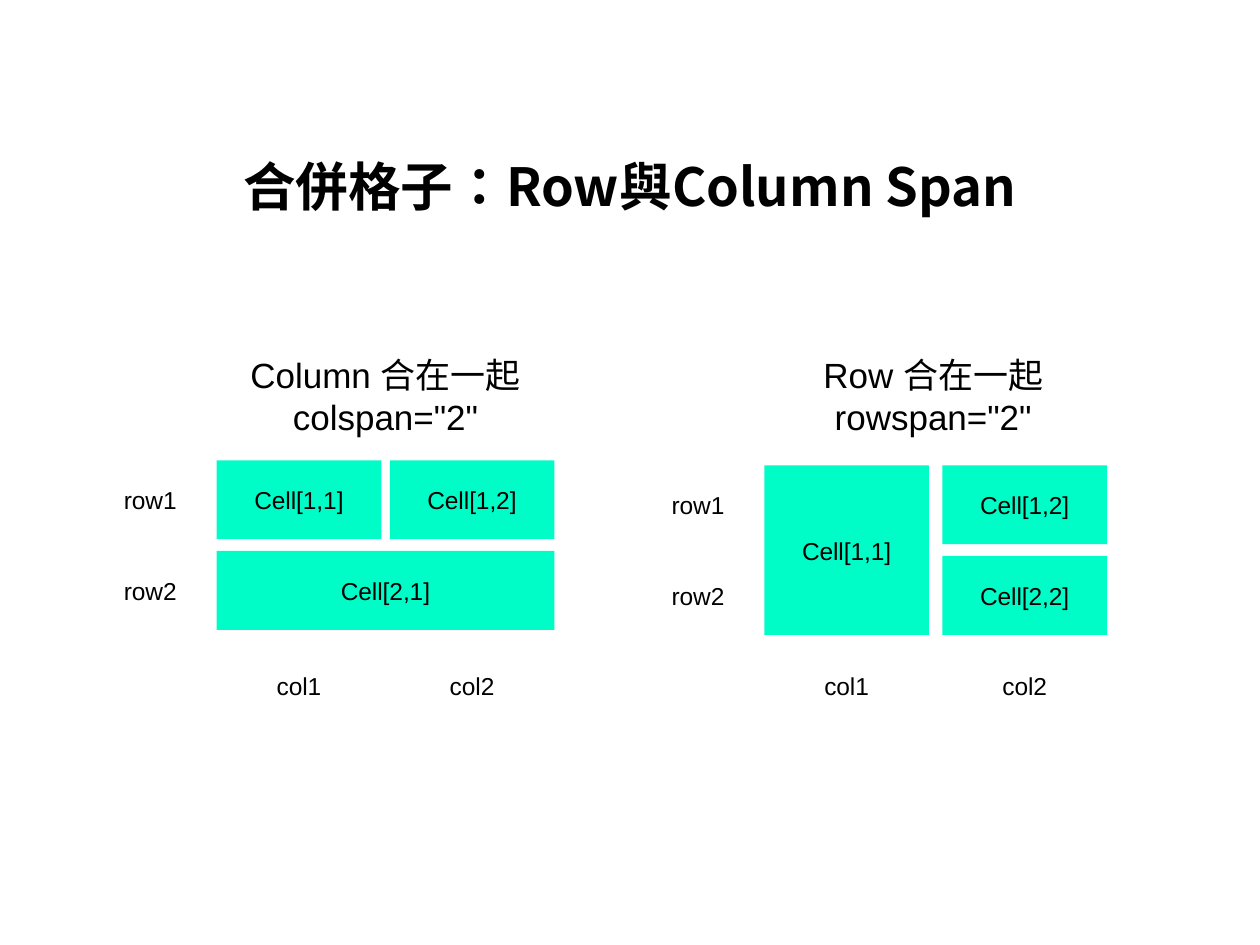
from dataclasses import dataclass

from pptx import Presentation
from pptx.dml.color import RGBColor
from pptx.enum.shapes import MSO_SHAPE
from pptx.enum.text import MSO_ANCHOR, PP_ALIGN
from pptx.oxml.ns import qn
from pptx.util import Inches, Pt


@dataclass(frozen=True)
class Theme:
    latin: str = "Arial"
    chinese: str = "Noto Sans CJK TC"
    language: str = "zh-TW"
    ink: RGBColor = RGBColor(0x00, 0x00, 0x00)
    cell: RGBColor = RGBColor(0x00, 0xFD, 0xC8)
    title_size: float = 22.5
    heading_size: float = 15
    label_size: float = 10.5


THEME = Theme()
CELL_W, CELL_H, ROW_PITCH = 0.98, 0.47, 0.54
LABEL_W, LABEL_H, COL_LABEL_TOP = 0.57, 0.28, 3.94
HEADING_TOP, HEADING_W, HEADING_H = 1.97, 2.01, 0.77


def write(shape, text, size, latin=THEME.latin, bold=False):
    """Put centred text into a shape, with Latin and Chinese fonts."""
    frame = shape.text_frame
    margins = dict.fromkeys(
        ("margin_left", "margin_top", "margin_right", "margin_bottom"), Inches(0.07))
    for name, value in {"word_wrap": True, "vertical_anchor": MSO_ANCHOR.MIDDLE, **margins}.items():
        setattr(frame, name, value)
    paragraph = frame.paragraphs[0]
    paragraph.text = text
    paragraph.alignment = PP_ALIGN.CENTER
    for run in paragraph.runs:
        for name, value in {"size": Pt(size), "name": latin, "bold": bold}.items():
            setattr(run.font, name, value)
        run.font.color.rgb = THEME.ink
        properties = run.font._element
        properties.set("lang", THEME.language)
        east_asian = properties.makeelement(qn("a:ea"), {"typeface": THEME.chinese})
        properties.find(qn("a:latin")).addnext(east_asian)


def add_label(left, top, width, height, text, size=THEME.label_size):
    box = slide.shapes.add_textbox(Inches(left), Inches(top), Inches(width), Inches(height))
    write(box, text, size)


presentation = Presentation()
presentation.slide_width = Inches(7.5)
presentation.slide_height = presentation.slide_width * 3 // 4
slide = presentation.slides.add_slide(presentation.slide_layouts[5])

title = slide.shapes.title
title.left, title.top, title.width, title.height = map(Inches, (0.25, 0.8, 7, 0.61))
write(title, "合併格子：Row與Column Span", THEME.title_size, THEME.chinese, True)

# heading, left, top, column pitch, cells as (row, column, row span, column span)
diagrams = [
    ('Column 合在一起\vcolspan="2"', 1.29, 2.74, 1.03,
     [(1, 1, 1, 1), (1, 2, 1, 1), (2, 1, 1, 2)]),
    ('Row 合在一起\vrowspan="2"', 4.55, 2.77, 1.06,
     [(1, 1, 2, 1), (1, 2, 1, 1), (2, 2, 1, 1)]),
]

for heading, left, top, col_pitch, cells in diagrams:
    for row, col, row_span, col_span in cells:
        cell = slide.shapes.add_shape(
            MSO_SHAPE.RECTANGLE,
            Inches(left + (col - 1) * col_pitch),
            Inches(top + (row - 1) * ROW_PITCH),
            Inches(CELL_W + (col_span - 1) * col_pitch),
            Inches(CELL_H + (row_span - 1) * ROW_PITCH))
        cell.shadow.inherit = False
        cell.fill.solid()
        cell.fill.fore_color.rgb = THEME.cell
        cell.line.fill.background()
        write(cell, f"Cell[{row},{col}]", THEME.label_size)

    add_label(left, HEADING_TOP, HEADING_W, HEADING_H, heading, THEME.heading_size)
    for index in range(2):
        row_label_top = top + index * ROW_PITCH + (CELL_H - LABEL_H) / 2
        add_label(left - 0.68, row_label_top, LABEL_W, LABEL_H, f"row{index + 1}")
        col_label_left = left + index * col_pitch + (CELL_W - LABEL_W) / 2
        add_label(col_label_left, COL_LABEL_TOP, LABEL_W, LABEL_H, f"col{index + 1}")

presentation.save("out.pptx")
